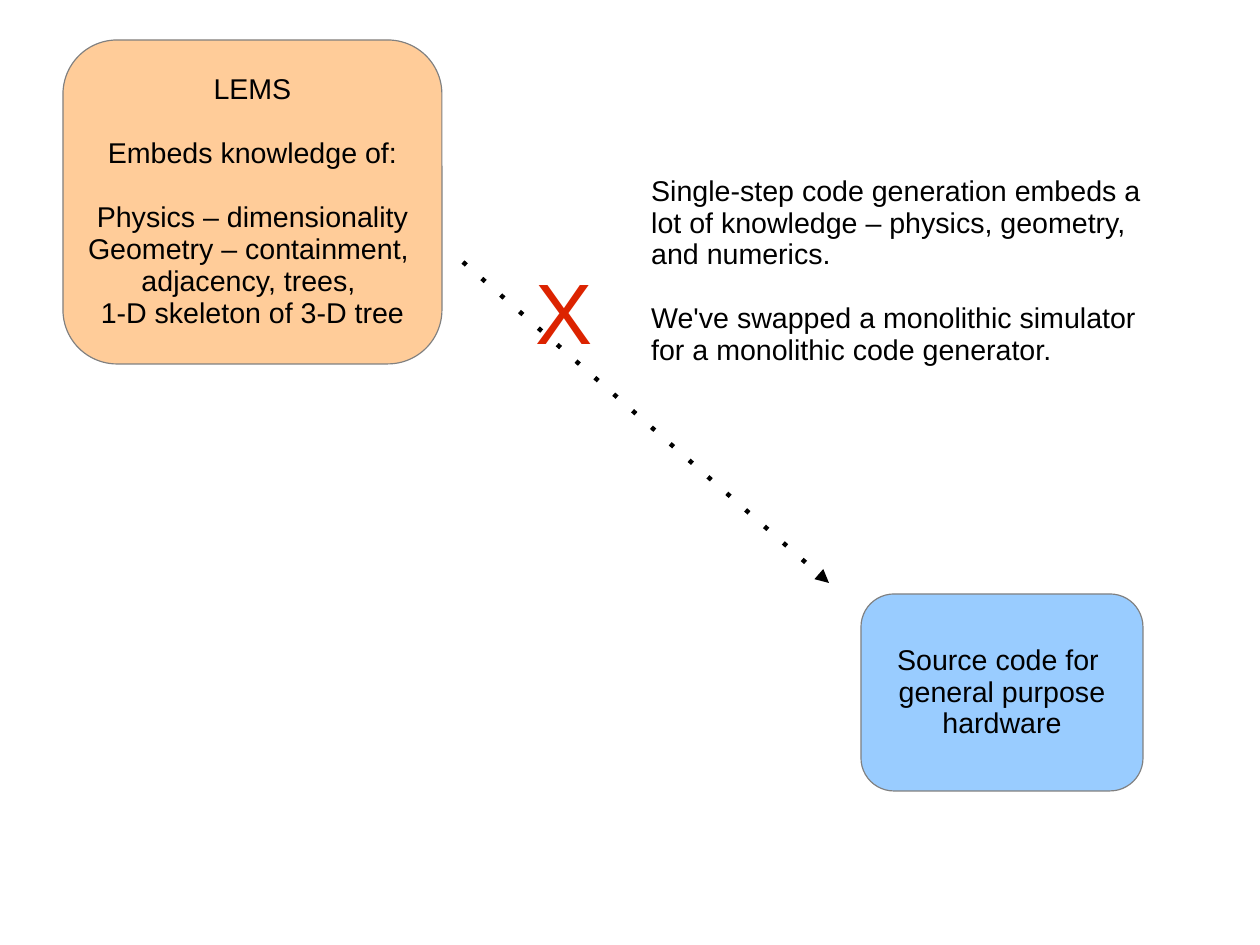
"""Slide on single-step code generation from LEMS to source code."""
from lxml import etree
from pptx import Presentation
from pptx.dml.color import RGBColor
from pptx.enum.shapes import MSO_CONNECTOR, MSO_SHAPE
from pptx.enum.text import MSO_ANCHOR, PP_ALIGN
from pptx.oxml.ns import qn
from pptx.util import Pt

ROUNDED = MSO_SHAPE.ROUNDED_RECTANGLE
STRAIGHT = MSO_CONNECTOR.STRAIGHT
MIDDLE, TOP = MSO_ANCHOR.MIDDLE, MSO_ANCHOR.TOP
CENTER, LEFT = PP_ALIGN.CENTER, PP_ALIGN.LEFT

PX = 8000
SLIDE_SIZE = (1260, 945)
FONT = "Arial"
BODY_SIZE, CROSS_SIZE = 18, 54
LINE_SPACING = 0.93
GROUP_GAP = 20
CORNER = 0.167

ORANGE = RGBColor(0xFF, 0xCC, 0x99)
BLUE = RGBColor(0x99, 0xCC, 0xFF)
GRAY = RGBColor(0x80, 0x80, 0x80)
BLACK = RGBColor(0, 0, 0)
RED = RGBColor(0xDC, 0x23, 0x00)

STAGES = [
    ((63, 40, 379, 324), ORANGE, [
        ["LEMS"],
        ["Embeds knowledge of:"],
        ["Physics – dimensionality", "Geometry – containment, ",
         "adjacency, trees, ", "1-D skeleton of 3-D tree"],
    ]),
    ((861, 594, 282, 197), BLUE, [
        ["Source code for ", "general purpose", "hardware"],
    ]),
]
ARROW = (463, 262, 829, 583)
NOTES = [
    ((524, 262, 80, 107), CROSS_SIZE, RED, [["X"]]),
    ((640, 170, 520, 202), BODY_SIZE, BLACK, [
        ["Single-step code generation embeds a lot of knowledge – physics, "
         "geometry, and numerics."],
        ["We've swapped a monolithic simulator for a monolithic code generator."],
    ]),
]


def emu(lengths):
    return [length * PX for length in lengths]


def write(frame, groups, size, color, align, anchor, wrap):
    frame.word_wrap = wrap
    frame.vertical_anchor = anchor
    lines = [(text, group > 0 and row == 0)
             for group, texts in enumerate(groups)
             for row, text in enumerate(texts)]
    for number, (text, opens_group) in enumerate(lines):
        paragraph = frame.add_paragraph() if number else frame.paragraphs[0]
        paragraph.alignment = align
        paragraph.line_spacing = LINE_SPACING
        if opens_group:
            paragraph.space_before = Pt(GROUP_GAP)
        run = paragraph.add_run()
        run.text = text
        run.font.name = FONT
        run.font.size = Pt(size)
        run.font.color.rgb = color


def add_stage(slide, bounds, fill, groups):
    stage = slide.shapes.add_shape(ROUNDED, *emu(bounds))
    stage.adjustments[0] = CORNER
    stage.shadow.inherit = False
    stage.fill.solid()
    stage.fill.fore_color.rgb = fill
    stage.line.color.rgb = GRAY
    stage.line.width = 0
    write(stage.text_frame, groups, BODY_SIZE, BLACK, CENTER, MIDDLE, False)


def add_dotted_arrow(slide, ends):
    arrow = slide.shapes.add_connector(STRAIGHT, *emu(ends))
    arrow.line.color.rgb = BLACK
    arrow.line.width = Pt(2.83)
    properties = arrow.element.spPr
    outline = properties.find(qn("a:ln"))
    dots = etree.SubElement(outline, qn("a:custDash"))
    etree.SubElement(dots, qn("a:ds"), d="100000", sp="457000")
    etree.SubElement(outline, qn("a:tailEnd"), type="triangle")
    etree.SubElement(properties, qn("a:effectLst"))


def main():
    deck = Presentation()
    deck.slide_width, deck.slide_height = emu(SLIDE_SIZE)
    slide = deck.slides.add_slide(deck.slide_layouts[6])
    for bounds, fill, groups in STAGES:
        add_stage(slide, bounds, fill, groups)
    add_dotted_arrow(slide, ARROW)
    for bounds, size, color, groups in NOTES:
        note = slide.shapes.add_textbox(*emu(bounds))
        write(note.text_frame, groups, size, color, LEFT, TOP, True)
    deck.save("out.pptx")


if __name__ == "__main__":
    main()
